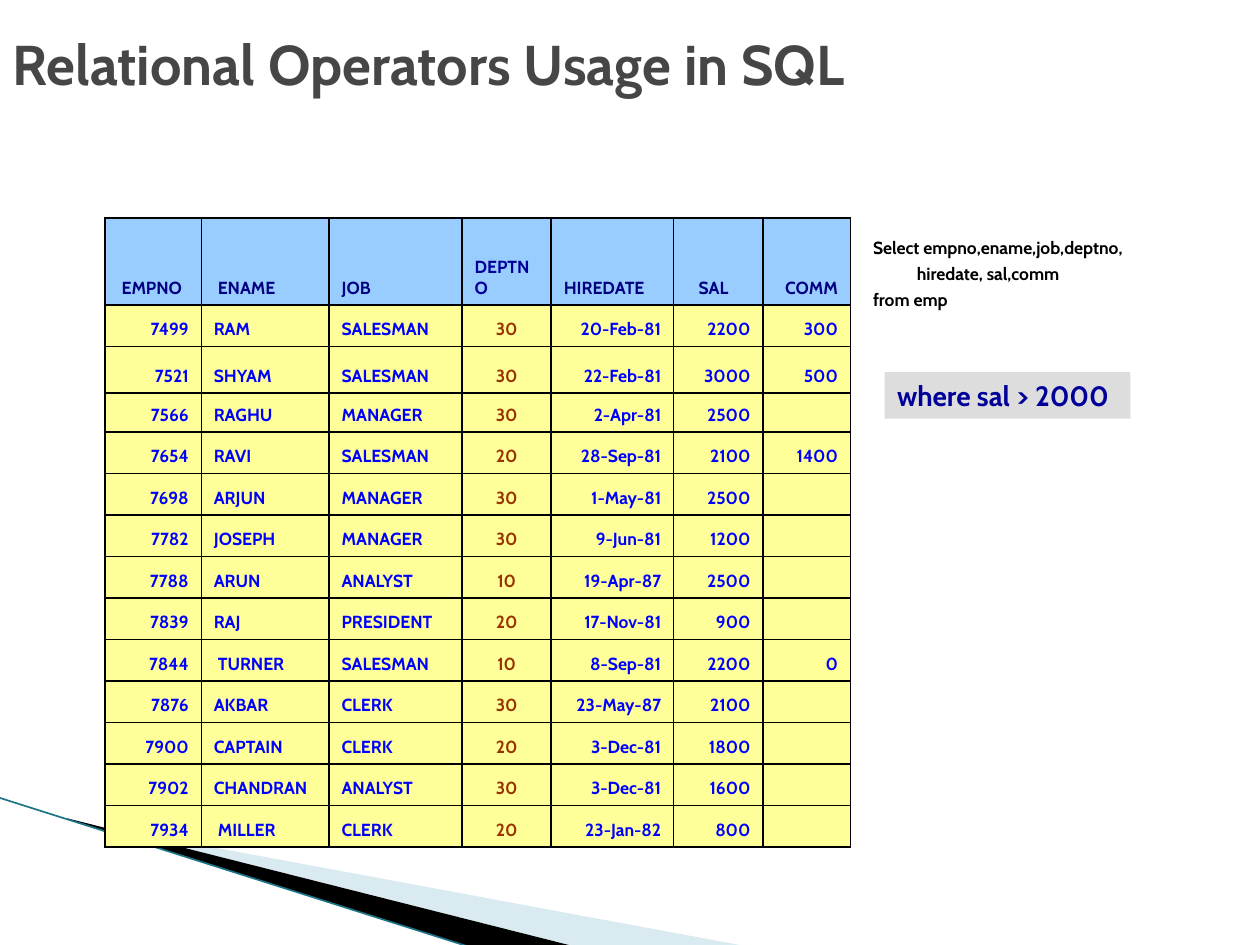
import pptx
import pptx.dml.color
import pptx.enum.shapes
import pptx.enum.text
import pptx.oxml
import pptx.oxml.ns
import pptx.util
from lxml import etree

Pt = pptx.util.Pt
ALIGN = pptx.enum.text.PP_ALIGN
ANCHOR = pptx.enum.text.MSO_ANCHOR
FONT = "Cabin"
INSET = 7.2

HEADERS = ["EMPNO", "ENAME", "JOB", "DEPTNO", "HIREDATE", "SAL", "COMM"]
EMPLOYEES = [
    ["7499", "RAM", "SALESMAN", "30", "20-Feb-81", "2200", "300"],
    ["7521", "SHYAM", "SALESMAN", "30", "22-Feb-81", "3000", "500"],
    ["7566", "RAGHU", "MANAGER", "30", "2-Apr-81", "2500", ""],
    ["7654", "RAVI", "SALESMAN", "20", "28-Sep-81", "2100", "1400"],
    ["7698", "ARJUN", "MANAGER", "30", "1-May-81", "2500", ""],
    ["7782", "JOSEPH", "MANAGER", "30", "9-Jun-81", "1200", ""],
    ["7788", "ARUN", "ANALYST", "10", "19-Apr-87", "2500", ""],
    ["7839", "RAJ", "PRESIDENT", "20", "17-Nov-81", "900", ""],
    ["7844", "TURNER", "SALESMAN", "10", "8-Sep-81", "2200", "0"],
    ["7876", "AKBAR", "CLERK", "30", "23-May-87", "2100", ""],
    ["7900", "CAPTAIN", "CLERK", "20", "3-Dec-81", "1800", ""],
    ["7902", "CHANDRAN", "ANALYST", "30", "3-Dec-81", "1600", ""],
    ["7934", "MILLER", "CLERK", "20", "23-Jan-82", "800", ""],
]
COLUMN_WIDTHS = [55, 73, 76, 51, 70, 51, 50]
ROW_HEIGHTS = [49.7, 23.8, 26.4, 22.4] + [23.75] * 10
BODY_ALIGN = [ALIGN.RIGHT, ALIGN.LEFT, ALIGN.LEFT, ALIGN.CENTER,
              ALIGN.RIGHT, ALIGN.RIGHT, ALIGN.RIGHT]
INDENTS = {"EMPNO": 2.3, "ENAME": 2.3, "SAL": 7, "TURNER": 2.3, "MILLER": 2.3}


def rgb(value):
    return pptx.dml.color.RGBColor.from_string(value)


def format_runs(p, size, color):
    for r in p.runs:
        r.font.name = FONT
        r.font.size = Pt(size)
        r.font.bold = True
        r.font.color.rgb = rgb(color)


def add_wedge(s, left, top, points, color, alpha=None):
    """Filled outline whose points are offsets from left, top."""
    x, y = points[0]
    builder = s.shapes.build_freeform(Pt(left + x), Pt(top + y))
    builder.add_line_segments([(Pt(left + x), Pt(top + y)) for x, y in points[1:]])
    sp = builder.convert_to_shape()
    sp.shadow.inherit = False
    sp.line.fill.background()
    sp.fill.solid()
    sp.fill.fore_color.rgb = rgb(color)
    if alpha:
        fill = sp.fill._xPr.find(".//" + pptx.oxml.ns.qn("a:srgbClr"))
        etree.SubElement(fill, pptx.oxml.ns.qn("a:alpha")).set("val", str(alpha * 1000))


def add_corner(s, left, top, width, height):
    """Wedges and edge line rising from the bottom to the left side."""
    add_wedge(s, left, top, [(40, 13), (width, height), (329, height), (40, 12)],
              "A0CBDC", 40)
    add_wedge(s, left, top, [(38, 11.5), (329, height), (268, height), (39, 12)],
              "000000")
    edge = s.shapes.add_connector(pptx.enum.shapes.MSO_CONNECTOR.STRAIGHT,
                                  Pt(left), Pt(top), Pt(left + 268), Pt(top + height))
    edge.line.color.rgb = rgb("1B7587")
    edge.line.width = Pt(0.95)
    etree.SubElement(edge._element.spPr, pptx.oxml.ns.qn("a:effectLst"))


def add_title(s, left, top, width, height):
    sp = s.shapes.title
    sp.left, sp.top, sp.width, sp.height = Pt(left), Pt(top), Pt(width), Pt(height)
    tf = sp.text_frame
    tf.text = "Relational Operators Usage in SQL"
    tf.vertical_anchor = ANCHOR.MIDDLE
    tf.paragraphs[0].alignment = ALIGN.LEFT
    format_runs(tf.paragraphs[0], 32, "464646")


def add_query(s, left, top, width, height):
    tf = s.shapes.add_textbox(Pt(left), Pt(top), Pt(width), Pt(height)).text_frame
    tf.word_wrap = True
    tf.text = "Select empno,ename,job,deptno,\nhiredate, sal,comm\nfrom emp"
    for p in tf.paragraphs:
        p.space_before = Pt(3)
        format_runs(p, 10, "000000")
    tf.paragraphs[1]._p.get_or_add_pPr().set("marL", str(Pt(25)))


def add_condition(s, left, top, width, height):
    sp = s.shapes.add_shape(pptx.enum.shapes.MSO_SHAPE.RECTANGLE,
                            Pt(left), Pt(top), Pt(width), Pt(height))
    sp.shadow.inherit = False
    sp.fill.solid()
    sp.fill.fore_color.rgb = rgb("DDDDDD")
    sp.line.fill.background()
    tf = sp.text_frame
    tf.word_wrap = False
    tf.text = "where sal > 2000"
    tf.vertical_anchor = ANCHOR.TOP
    tf.paragraphs[0].alignment = ALIGN.LEFT
    format_runs(tf.paragraphs[0], 16, "000099")


def set_borders(cell, color, width):
    tc_pr = cell._tc.get_or_add_tcPr()
    for i, side in enumerate(("lnL", "lnR", "lnT", "lnB")):
        tc_pr.insert(i, pptx.oxml.parse_xml(
            f'<a:{side} {pptx.oxml.ns.nsdecls("a")} w="{Pt(width)}"><a:solidFill>'
            f'<a:srgbClr val="{color}"/></a:solidFill></a:{side}>'))


def fill_cell(cell, text, align, color, fill):
    cell.fill.solid()
    cell.fill.fore_color.rgb = rgb(fill)
    set_borders(cell, "000000", 1)
    cell.vertical_anchor = ANCHOR.BOTTOM
    cell.margin_left = Pt(INSET + INDENTS.get(text, 0))
    p = cell.text_frame.paragraphs[0]
    p.alignment = align
    if text:
        p.text = text
        format_runs(p, 10, color)
    else:
        p._p.get_or_add_endParaRPr().set("sz", "1000")


def add_employee_table(s, left, top, width, height):
    table = s.shapes.add_table(len(ROW_HEIGHTS), len(COLUMN_WIDTHS), Pt(left), Pt(top),
                               Pt(width), Pt(height)).table
    for column, column_width in zip(table.columns, COLUMN_WIDTHS):
        column.width = Pt(column_width)
    for row, row_height in zip(table.rows, ROW_HEIGHTS):
        row.height = Pt(row_height)
    for j, header in enumerate(HEADERS):
        align = ALIGN.RIGHT if header == "COMM" else ALIGN.LEFT
        color = "000099" if header == "DEPTNO" else "000080"
        fill_cell(table.cell(0, j), header, align, color, "99CCFF")
    for i, employee in enumerate(EMPLOYEES, start=1):
        for j, value in enumerate(employee):
            color = "993300" if HEADERS[j] == "DEPTNO" else "0000FF"
            fill_cell(table.cell(i, j), value, BODY_ALIGN[j], color, "FFFF99")


def main():
    prs = pptx.Presentation()
    prs.slide_width, prs.slide_height = Pt(720), Pt(540)
    s = prs.slides.add_slide(prs.slide_layouts[5])
    add_corner(s, 0, 456, 428, 85)
    add_title(s, 0, 0, 595.5, 72)
    add_query(s, 491.8, 131.8, 216, 50.4)
    add_condition(s, 505.5, 212.7, 140.4, 26.6)
    add_employee_table(s, 60, 124.6, sum(COLUMN_WIDTHS), sum(ROW_HEIGHTS))
    prs.save("out.pptx")


if __name__ == "__main__":
    main()
